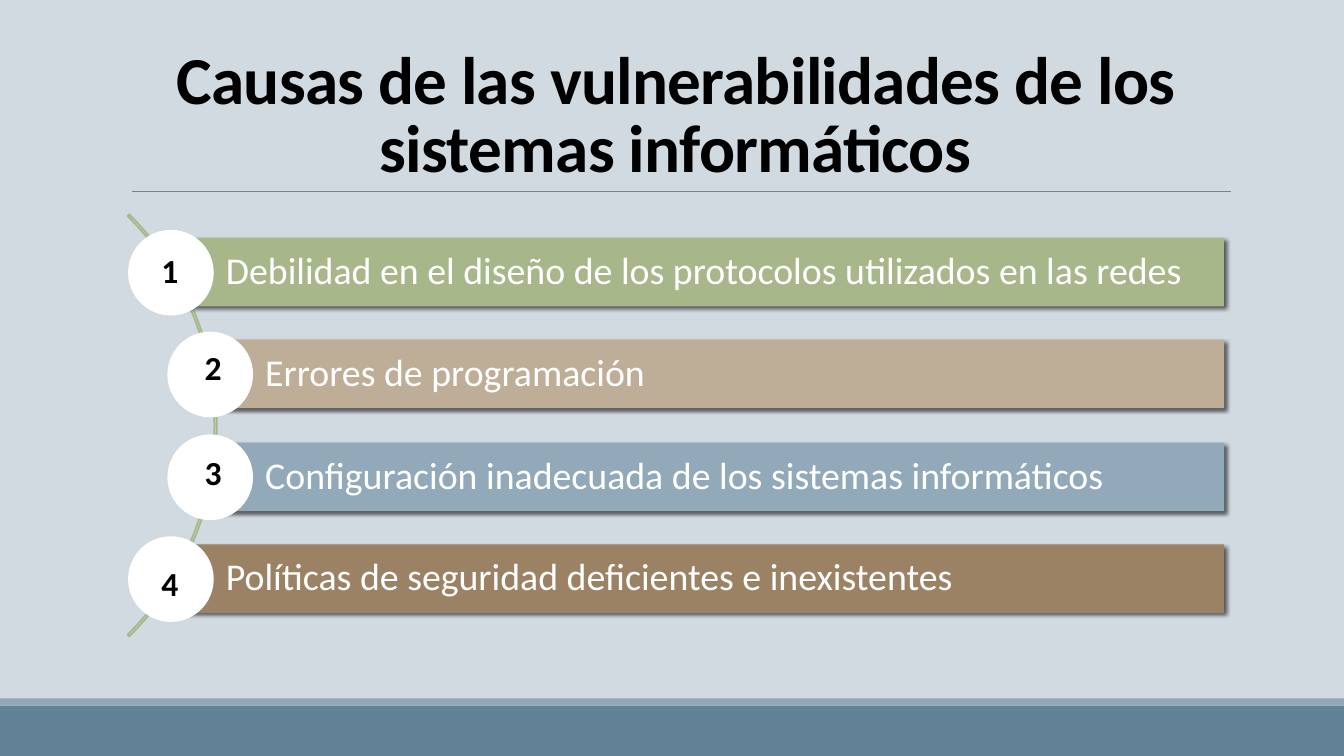
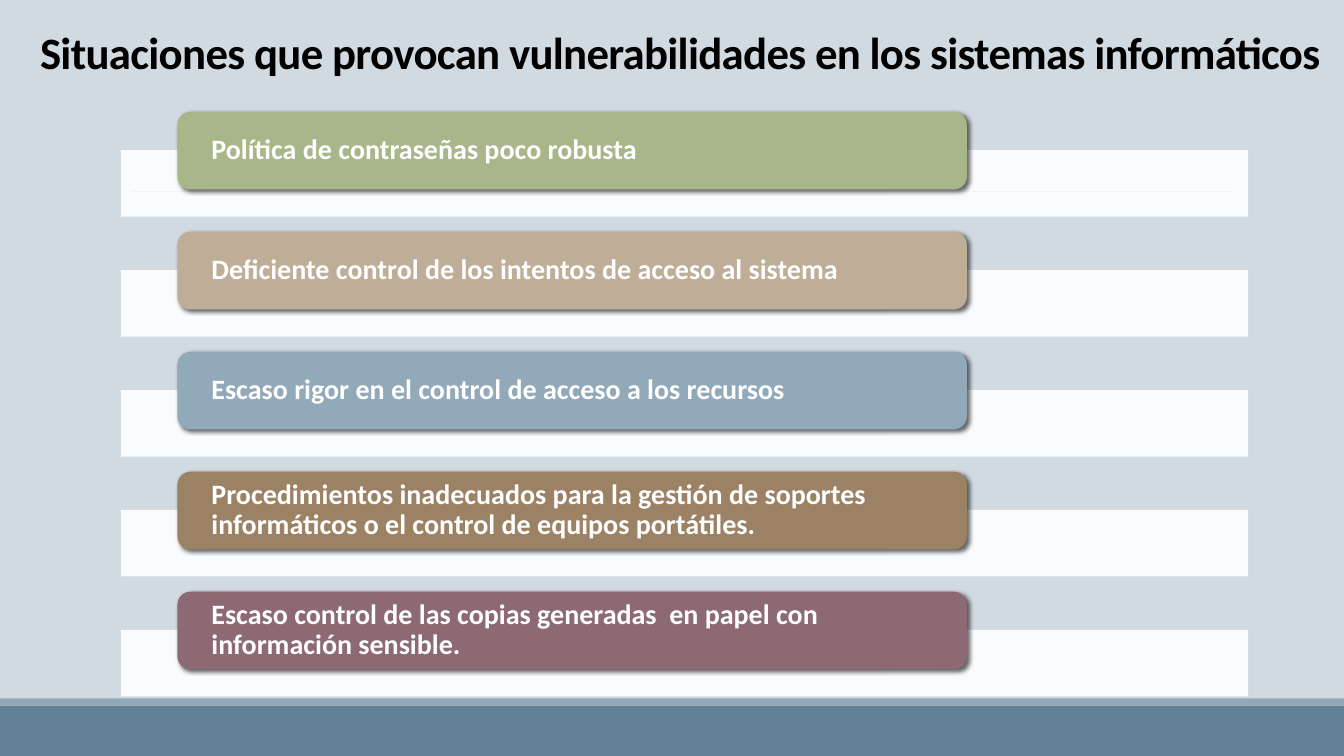
"""Build two slides on the causes of weaknesses in computer systems."""
from dataclasses import dataclass
from typing import Optional

from lxml import etree
from pptx import Presentation
from pptx import util as u
from pptx.dml.color import RGBColor
from pptx.enum import shapes, text
from pptx.oxml.ns import qn

PX = 9144
WIDTH, HEIGHT = 1333, 750


@dataclass(frozen=True)
class Theme:
    font: str = "Calibri"
    backdrop: str = "D1D9E1"
    band: str = "618197"
    band_edge: str = "92A9B9"
    rule: str = "808080"
    ink: str = "000000"
    paper: str = "FFFFFF"
    accents: tuple[str, ...] = ("A7B789", "BEAE98", "92A9B9", "9C8265", "8D6974")
    cause_size: int = 27
    number_size: int = 24
    situation_size: int = 20


@dataclass(frozen=True)
class Box:
    left: int
    top: int
    width: int
    height: int

    def emu(self) -> tuple[int, int, int, int]:
        return tuple(side * PX for side in (self.left, self.top, self.width, self.height))


@dataclass(frozen=True)
class Cause:
    wording: str
    left: int
    number_left: int
    number_top: int


THEME = Theme()
CAUSES = (
    Cause("Debilidad en el diseño de los protocolos utilizados en las redes", 170, 147, 243),
    Cause("Errores de programación", 209, 190, 339),
    Cause("Configuración inadecuada de los sistemas informáticos", 209, 190, 443),
    Cause("Políticas de seguridad deficientes e inexistentes", 170, 147, 554),
)
SITUATIONS = (
    "Política de contraseñas poco robusta",
    "Deficiente control de los intentos de acceso al sistema",
    "Escaso rigor en el control de acceso a los recursos",
    "Procedimientos inadecuados para la gestión de soportes informáticos"
    " o el control de equipos portátiles.",
    "Escaso control de las copias generadas  en papel con información sensible.",
)


def add_figure(page, kind, box: Box, fill: Optional[str] = None, line: Optional[str] = None):
    figure = page.shapes.add_shape(kind, *box.emu())
    figure.shadow.inherit = False
    if fill:
        figure.fill.solid()
        figure.fill.fore_color.rgb = RGBColor.from_string(fill)
    else:
        figure.fill.background()
    if line:
        figure.line.color.rgb = RGBColor.from_string(line)
        figure.line.width = u.Pt(1.25)
    else:
        figure.line.fill.background()
    return figure


def write(shape, wording: str, size: int, color: str, bold: bool = False,
          align=text.PP_ALIGN.LEFT, spacing: float = 1.0):
    para = shape.text_frame.paragraphs[0]
    para.add_run().text = wording
    para.alignment = align
    para.line_spacing = spacing
    font = para.font
    font.name, font.size, font.bold = THEME.font, u.Pt(size), bold
    font.color.rgb = RGBColor.from_string(color)
    return para


def add_label_bar(page, kind, box: Box, fill: str, wording: str, size: int,
                  bold: bool, margins: tuple[int, int, int, int]) -> None:
    bar = add_figure(page, kind, box, fill)
    effects = bar._element.spPr.find(qn("a:effectLst"))
    shadow = etree.SubElement(effects, qn("a:outerShdw"), blurRad="38100", dist="25400",
                              dir="2700000", algn="br", rotWithShape="0")
    color = etree.SubElement(shadow, qn("a:srgbClr"), val=THEME.ink)
    etree.SubElement(color, qn("a:alpha"), val="60000")
    frame = bar.text_frame
    frame.word_wrap = True
    frame.vertical_anchor = text.MSO_ANCHOR.MIDDLE
    frame.margin_left, frame.margin_top, frame.margin_right, frame.margin_bottom = (
        margin * PX for margin in margins)
    write(bar, wording, size, THEME.paper, bold, spacing=0.9)


def add_page(deck, heading: str, box: Box, size: int):
    page = deck.slides.add_slide(deck.slide_layouts[5])
    add_figure(page, shapes.MSO_SHAPE.RECTANGLE, Box(0, 700, WIDTH, 50), THEME.band)
    add_figure(page, shapes.MSO_SHAPE.RECTANGLE, Box(0, 693, WIDTH, 7), THEME.band_edge)
    rule = page.shapes.add_connector(shapes.MSO_CONNECTOR.STRAIGHT,
                                     131 * PX, 190 * PX, 1221 * PX, 190 * PX)
    rule.line.color.rgb = RGBColor.from_string(THEME.rule)
    rule.line.width = u.Pt(0.5)
    etree.SubElement(rule._element.spPr, qn("a:effectLst"))
    title = page.shapes.title
    title.left, title.top, title.width, title.height = box.emu()
    title.text_frame.word_wrap = True
    title.text_frame.auto_size = text.MSO_AUTO_SIZE.NONE
    title.text_frame.vertical_anchor = text.MSO_ANCHOR.BOTTOM
    para = write(title, heading, size, THEME.ink, True, text.PP_ALIGN.CENTER, 0.85)
    para.runs[0]._r.get_or_add_rPr().set("spc", "-50")
    return page


def add_causes(deck) -> None:
    page = add_page(deck, "Causas de las vulnerabilidades de los sistemas informáticos",
                    Box(120, 31, 1100, 159), 48)
    arc = add_figure(page, shapes.MSO_SHAPE.BLOCK_ARC, Box(-377, 126, 592, 592),
                     line=THEME.accents[0])
    for index, value in enumerate((189, 27, 0.004)):
        arc.adjustments[index] = value
    for index, (cause, accent) in enumerate(zip(CAUSES, THEME.accents)):
        top = 236 + index * 203 // 2
        add_label_bar(page, shapes.MSO_SHAPE.RECTANGLE,
                      Box(cause.left, top, 1214 - cause.left, 68), accent,
                      cause.wording, THEME.cause_size, False, (54, 7, 7, 7))
        add_figure(page, shapes.MSO_SHAPE.OVAL, Box(cause.left - 43, top - 8, 85, 85),
                   THEME.paper)
    for number, cause in enumerate(CAUSES, 1):
        box = page.shapes.add_textbox(*Box(cause.number_left, cause.number_top, 43, 50).emu())
        box.text_frame.word_wrap = True
        write(box, str(number), THEME.number_size, THEME.ink, True, text.PP_ALIGN.CENTER)


def add_situations(deck) -> None:
    page = add_page(deck, "Situaciones que provocan vulnerabilidades en los sistemas informáticos",
                    Box(16, 14, 1317, 69), 32)
    for index, (wording, accent) in enumerate(zip(SITUATIONS, THEME.accents)):
        top = 149 + index * 119
        strip = add_figure(page, shapes.MSO_SHAPE.RECTANGLE, Box(120, top, 1118, 66),
                           THEME.paper)
        color = strip._element.spPr.find(qn("a:solidFill")).find(qn("a:srgbClr"))
        etree.SubElement(color, qn("a:alpha"), val="90000")
        add_label_bar(page, shapes.MSO_SHAPE.ROUNDED_RECTANGLE, Box(176, top - 38, 783, 77),
                      accent, wording, THEME.situation_size, True, (30, 0, 30, 0))


def main() -> None:
    deck = Presentation()
    deck.slide_width, deck.slide_height = WIDTH * PX, HEIGHT * PX
    backdrop = deck.slide_master.background.fill
    backdrop.solid()
    backdrop.fore_color.rgb = RGBColor.from_string(THEME.backdrop)
    add_causes(deck)
    add_situations(deck)
    deck.save("out.pptx")


if __name__ == "__main__":
    main()
